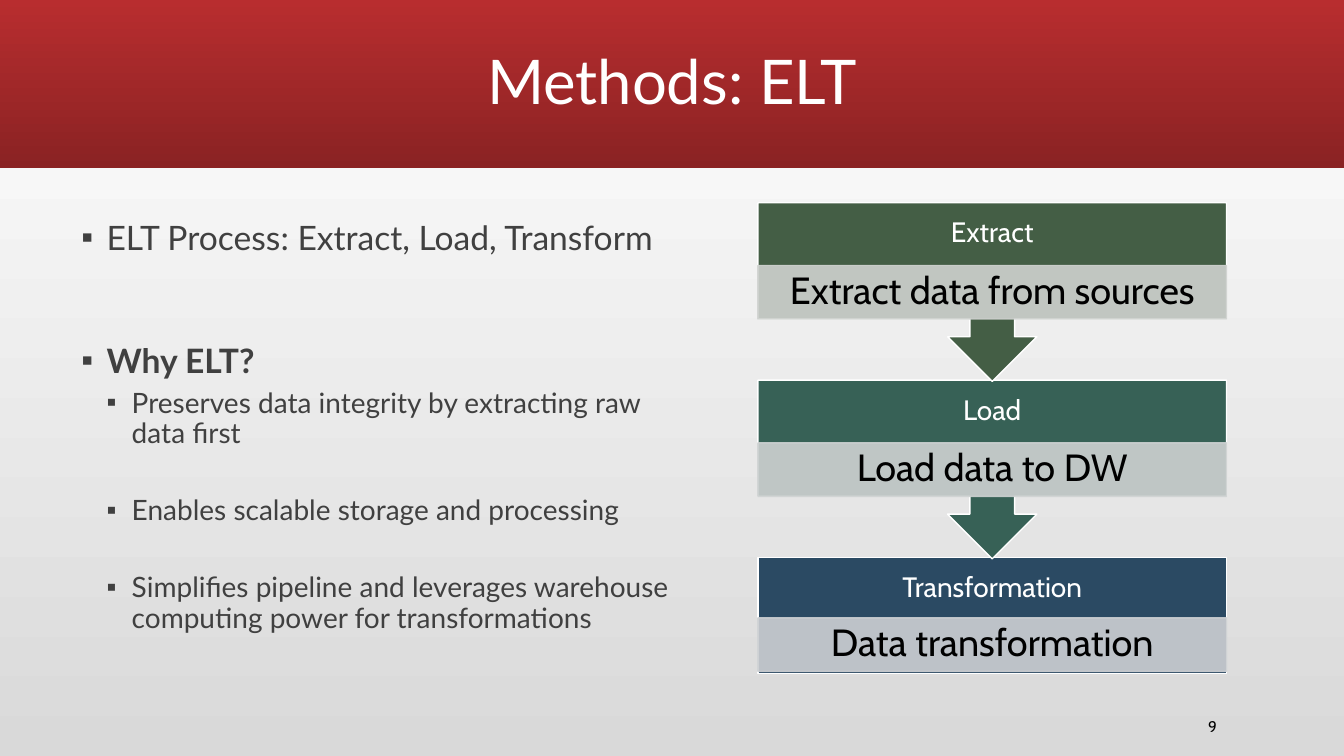
import pptx
import pptx.dml.color
import pptx.enum.shapes
import pptx.enum.text
import pptx.oxml
import pptx.oxml.ns
import pptx.util

Cm = pptx.util.Cm
Pt = pptx.util.Pt
RGBColor = pptx.dml.color.RGBColor
Shape = pptx.enum.shapes.MSO_SHAPE
Align = pptx.enum.text.PP_ALIGN
Anchor = pptx.enum.text.MSO_ANCHOR

WHITE = RGBColor(0xFF, 0xFF, 0xFF)
BLACK = RGBColor(0, 0, 0)
BODY_GREY = RGBColor(0x40, 0x40, 0x40)
BACKGROUND_GREY = RGBColor(0xD9, 0xD9, 0xD9)
BAND_RED = RGBColor(0xB8, 0x2D, 0x2F)
BAND_DARK_RED = RGBColor(0x8A, 0x22, 0x23)
GREEN = RGBColor(0x44, 0x5E, 0x45)
PALE_GREEN = RGBColor(0xCF, 0xD2, 0xCF)
TEAL = RGBColor(0x37, 0x61, 0x56)
PALE_TEAL = RGBColor(0xCE, 0xD2, 0xD2)
BLUE = RGBColor(0x2B, 0x4A, 0x63)
PALE_BLUE = RGBColor(0xCD, 0xD0, 0xD3)

# Heading, detail, heading colour, detail colour
STEPS = [
    ("Extract", "Extract data from sources", GREEN, PALE_GREEN),
    ("Load", "Load data to DW", TEAL, PALE_TEAL),
    ("Transformation", "Data transformation", BLUE, PALE_BLUE),
]
# Text, level, bold, space before in points
BULLETS = [
    ("ELT Process: Extract, Load, Transform", 0, False, 18),
    ("Why ELT?", 0, True, 62),
    ("Preserves data integrity by extracting raw data first", 1, False, 6),
    ("Enables scalable storage and processing", 1, False, 33.6),
    ("Simplifies pipeline and leverages warehouse computing power "
     "for transformations", 1, False, 33.6),
]
STEP_LEFT, STEP_TOP, STEP_WIDTH, STEP_PITCH = 19.1, 5.11, 11.81, 4.47


class SlideBuilder:
    text_font = "Lato"
    diagram_font = "Cabin"

    def __init__(self, presentation):
        self.slide = presentation.slides.add_slide(presentation.slide_layouts[1])

    def place(self, shape, left, top, width, height):
        shape.left, shape.top = Cm(left), Cm(top)
        shape.width, shape.height = Cm(width), Cm(height)

    def gradient(self, fill, colors, angle):
        fill.gradient()
        fill.gradient_angle = angle
        for stop, color in zip(fill.gradient_stops, colors):
            stop.color.rgb = color

    def add_text(self, paragraph, text, size, color, font, align, bold=False):
        paragraph.alignment = align
        paragraph.line_spacing = 0.9
        run = paragraph.add_run()
        run.text = text
        run.font.size, run.font.name, run.font.bold = Pt(size), font, bold
        run.font.color.rgb = color

    def prepare_frame(self, shape, anchor, horizontal=0.25, vertical=0.13):
        frame = shape.text_frame
        frame.word_wrap = True
        frame.auto_size = pptx.enum.text.MSO_AUTO_SIZE.NONE
        frame.vertical_anchor = anchor
        frame.margin_left = frame.margin_right = Cm(horizontal)
        frame.margin_top = frame.margin_bottom = Cm(vertical)
        return frame

    def band(self, left, top, width, height):
        """Add the title band behind the placeholders."""
        band = self.slide.shapes.add_shape(
            Shape.RECTANGLE, Cm(left), Cm(top), Cm(width), Cm(height))
        band.shadow.inherit = False
        band.line.fill.background()
        self.gradient(band.fill, (BAND_RED, BAND_DARK_RED), 270)
        self.slide.shapes.title.element.addprevious(band.element)

    def title(self, text, *box):
        title = self.slide.shapes.title
        self.place(title, *box)
        frame = self.prepare_frame(title, Anchor.MIDDLE)
        self.add_text(frame.paragraphs[0], text, 44, WHITE,
                      self.text_font, Align.CENTER)

    def bullets(self, items, *box):
        body = self.slide.placeholders[1]
        self.place(body, *box)
        frame = self.prepare_frame(body, Anchor.TOP)
        for index, (text, level, bold, space) in enumerate(items):
            paragraph = frame.add_paragraph() if index else frame.paragraphs[0]
            paragraph.level = level
            self.add_text(paragraph, text, 24 - 4 * level, BODY_GREY,
                          self.text_font, Align.LEFT, bold)
            paragraph.space_before = Pt(space)
            paragraph.space_after = Pt(0)
            properties = paragraph._p.get_or_add_pPr()
            properties.set("marL", str(Pt(18 * (level + 1))))
            properties.set("indent", str(Pt(-18)))
            properties.append(pptx.oxml.parse_xml(
                f'<a:buChar {pptx.oxml.ns.nsdecls("a")} char="▪"/>'))

    def shape(self, kind, color, line, *box):
        shape = self.slide.shapes.add_shape(kind, *map(Cm, box))
        shape.shadow.inherit = False
        shape.fill.solid()
        shape.fill.fore_color.rgb = color
        shape.line.color.rgb = line
        shape.line.width = Pt(1)
        return shape

    def text_box(self, text, size, color, align, box, margins=(0.25, 0.13)):
        shape = self.slide.shapes.add_textbox(*map(Cm, box))
        frame = self.prepare_frame(shape, Anchor.MIDDLE, *margins)
        self.add_text(frame.paragraphs[0], text, size, color,
                      self.diagram_font, align)

    def step(self, heading, detail, color, pale, top, is_last):
        """Add one process step; all but the last point down to the next."""
        if is_last:
            self.shape(Shape.RECTANGLE, color, WHITE, STEP_LEFT, top, STEP_WIDTH, 2.92)
        else:
            callout = self.shape(Shape.UP_ARROW_CALLOUT, color, WHITE,
                                 STEP_LEFT, top, STEP_WIDTH, 4.5)
            callout.rotation = 180
        self.text_box(heading, 20, WHITE, Align.CENTER,
                      (STEP_LEFT, top, STEP_WIDTH, 1.57), (0.4, 0.4))
        panel = self.shape(Shape.RECTANGLE, pale, pale, STEP_LEFT,
                           top + (1.52 if is_last else 1.58), STEP_WIDTH, 1.35)
        for color_element in panel.element.spPr.iter(pptx.oxml.ns.qn("a:srgbClr")):
            color_element.append(pptx.oxml.parse_xml(
                f'<a:alpha {pptx.oxml.ns.nsdecls("a")} val="90000"/>'))
        frame = self.prepare_frame(panel, Anchor.MIDDLE, 0.53, 0.1)
        self.add_text(frame.paragraphs[0], detail, 27, BLACK,
                      self.diagram_font, Align.CENTER)


def main():
    presentation = pptx.Presentation()
    presentation.slide_width, presentation.slide_height = Cm(33.87), Cm(19.05)
    builder = SlideBuilder(presentation)
    builder.gradient(builder.slide.background.fill, (BACKGROUND_GREY, WHITE), 90)
    builder.band(0, 0, 33.87, 4.24)
    builder.title("Methods: ELT", 2.97, 0.28, 27.94, 3.68)
    builder.bullets(BULLETS, 1.8, 5.44, 15.82, 12.34)
    for index, step in reversed(list(enumerate(STEPS))):
        builder.step(*step, STEP_TOP + index * STEP_PITCH, index == len(STEPS) - 1)
    builder.text_box("9", 11, BLACK, Align.RIGHT, (28.58, 18.01, 2.34, 0.66))
    presentation.save("out.pptx")


if __name__ == "__main__":
    main()
